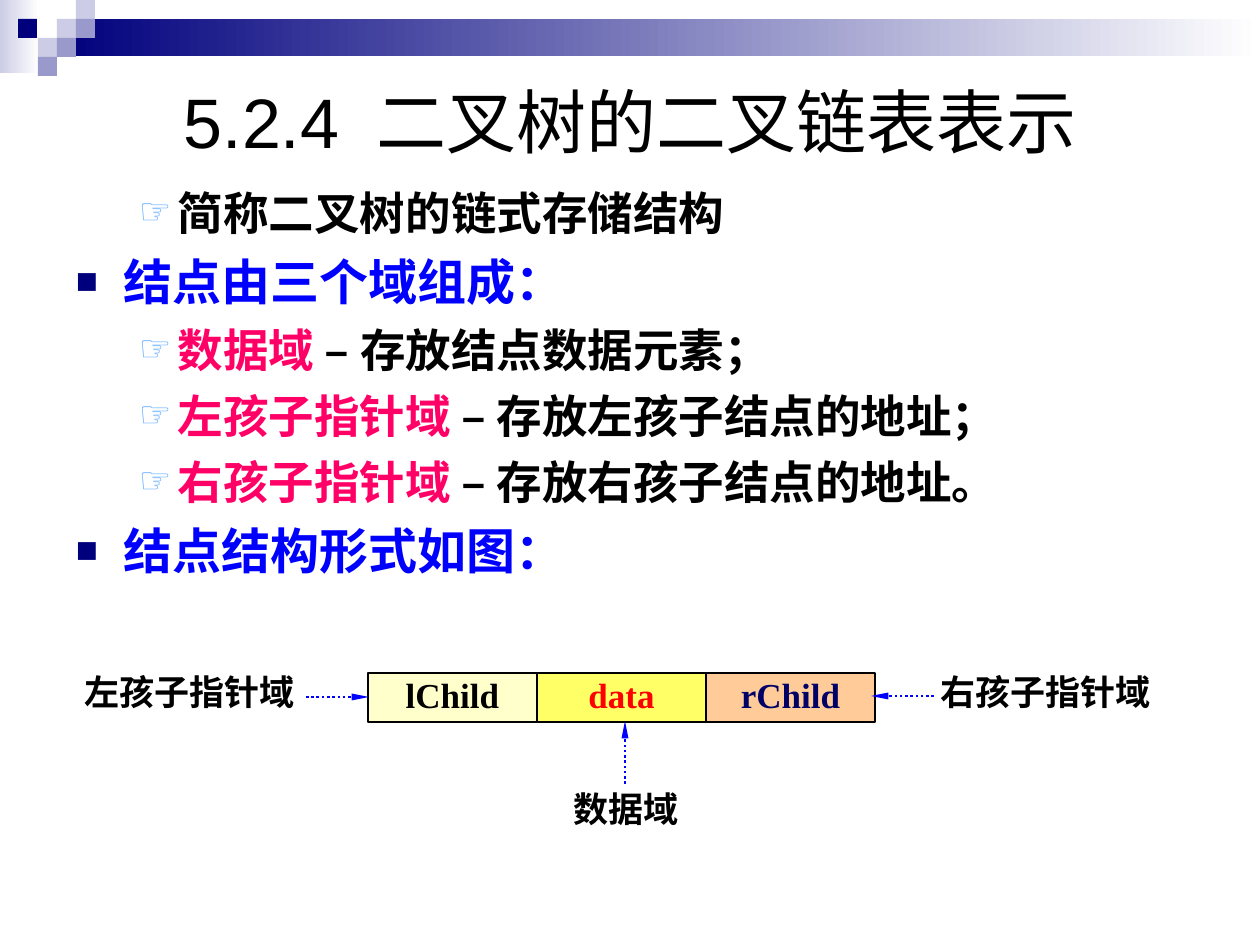
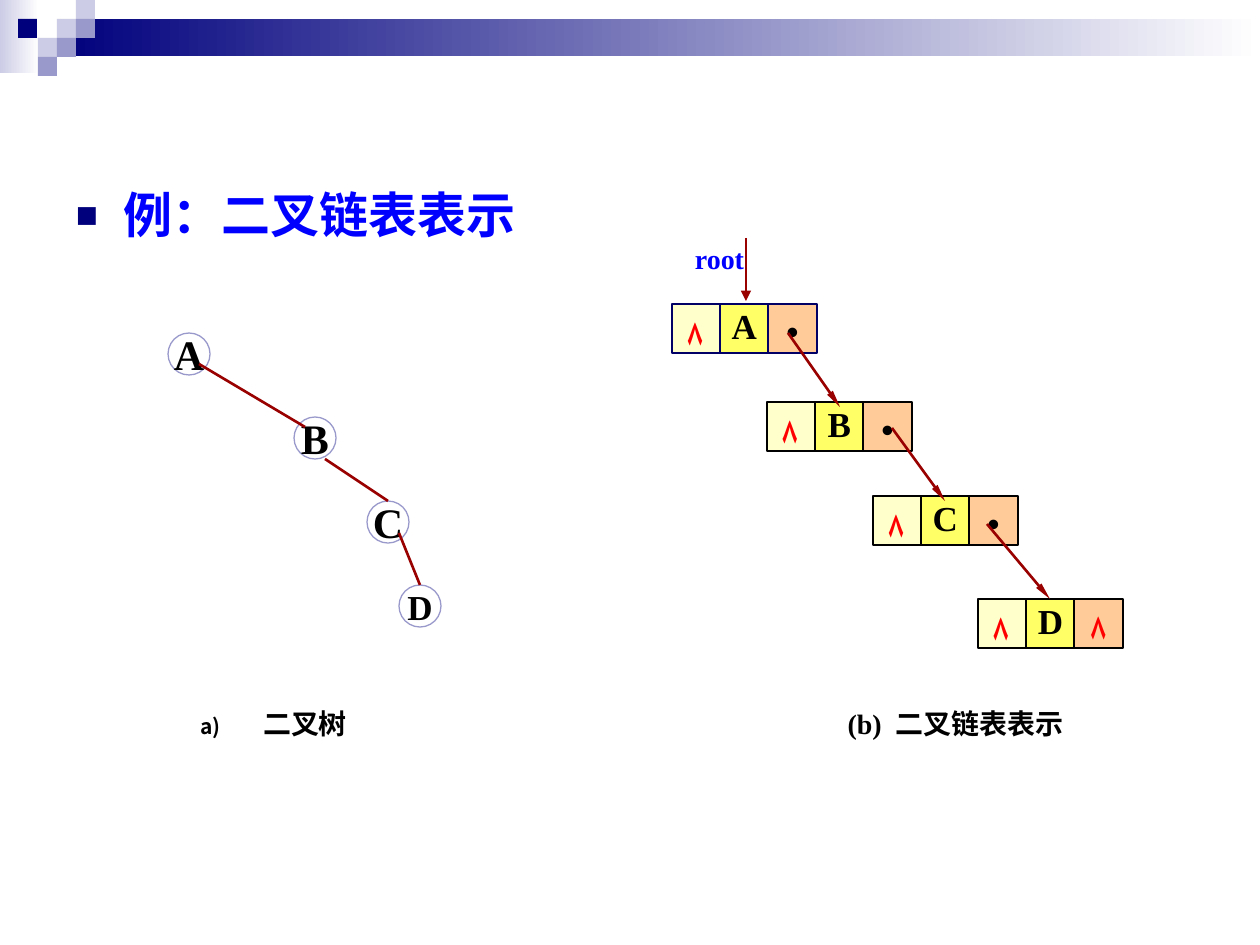
from lxml import etree
from pptx import Presentation
from pptx import util as u
from pptx.dml.color import RGBColor
from pptx.enum import dml, lang, shapes, text
from pptx.oxml.ns import qn

PX = u.Inches(1) / 126
SANS, CJK, SERIF = "Arial", "Noto Sans CJK SC", "Times New Roman"

BLACK = RGBColor(0x00, 0x00, 0x00)
WHITE = RGBColor(0xFF, 0xFF, 0xFF)
NAVY = RGBColor(0x00, 0x00, 0x7D)
DARK_BLUE = RGBColor(0x00, 0x00, 0x66)
BLUE = RGBColor(0x00, 0x00, 0xFF)
SKY = RGBColor(0x67, 0xAF, 0xFF)
LILAC = RGBColor(0x99, 0x99, 0xCC)
PALE_LILAC = RGBColor(0xCC, 0xCC, 0xE6)
PINK = RGBColor(0xFF, 0x00, 0x66)
RED = RGBColor(0xFF, 0x00, 0x00)
MAROON = RGBColor(0x99, 0x00, 0x00)
CREAM = RGBColor(0xFF, 0xFF, 0xCC)
YELLOW = RGBColor(0xFF, 0xFF, 0x66)
PEACH = RGBColor(0xFF, 0xCC, 0x99)

CELL_FILLS = (CREAM, YELLOW, PEACH)
CENTER = text.PP_ALIGN.CENTER
MIDDLE = text.MSO_ANCHOR.MIDDLE
SLIM, REGULAR = ("sm", "lg"), ("med", "med")


def px(n):
    return u.Emu(round(n * PX))


def add_child(parent, tag, **attrs):
    child = etree.SubElement(parent, qn(tag))
    for name, value in attrs.items():
        child.set(name, str(value))
    return child


def add_run(p, words, size=20, color=BLACK, font=SERIF, bold=True, tracking=0):
    r = p.add_run()
    r.text = words
    f = r.font
    f.size, f.bold, f.name = u.Pt(size), bold, font
    f.color.rgb = color
    f.language_id = lang.MSO_LANGUAGE_ID.SIMPLIFIED_CHINESE
    rPr = r._r.get_or_add_rPr()
    add_child(rPr, "a:ea", typeface=CJK)
    if tracking:
        rPr.set("spc", str(round(tracking * 100)))


def add_spaced(p, number, words, size, **fmt):
    """Number and words, parted by a space stretched to twice its width."""
    add_run(p, number, size, **fmt)
    add_run(p, " ", size, tracking=size * 0.26, **fmt)
    add_run(p, words, size, **fmt)


def set_bullet(p, mark, color, percent, left, hang, font=SANS):
    pPr = p._p.get_or_add_pPr()
    pPr.set("marL", str(px(left)))
    pPr.set("indent", str(-px(hang)))
    add_child(add_child(pPr, "a:buClr"), "a:srgbClr", val=color)
    add_child(pPr, "a:buSzPct", val=percent * 1000)
    add_child(pPr, "a:buFont", typeface=font)
    if mark == "a)":
        add_child(pPr, "a:buAutoNum", type="alphaLcParenR")
    else:
        add_child(pPr, "a:buChar", char=mark)


def set_frame(tf, left=13, top=6, wrap=True, anchor=text.MSO_ANCHOR.TOP):
    tf.word_wrap, tf.vertical_anchor = wrap, anchor
    tf.margin_left, tf.margin_top = px(left), px(top)
    tf.margin_right, tf.margin_bottom = px(13), px(6)


def add_box(s, x, y, w, h, align=None, **frame):
    """Text box; returns its first paragraph."""
    tf = s.shapes.add_textbox(px(x), px(y), px(w), px(h)).text_frame
    set_frame(tf, **frame)
    p = tf.paragraphs[0]
    p.alignment = align
    return p


def add_block(s, x, y, w, h, fill, line=None, kind=shapes.MSO_SHAPE.RECTANGLE):
    """Preset shape; fill is one colour or a list of two for a gradient."""
    sp = s.shapes.add_shape(kind, px(x), px(y), px(w), px(h))
    sp.shadow.inherit = False
    if isinstance(fill, list):
        sp.fill.gradient()
        sp.fill.gradient_angle = 0
        for stop, color in zip(sp.fill.gradient_stops, fill):
            stop.color.rgb = color
    else:
        sp.fill.solid()
        sp.fill.fore_color.rgb = fill
    if line is None:
        sp.line.fill.background()
    else:
        sp.line.color.rgb = line
        sp.line.width = u.Pt(0.75)
    return sp


def fill_text(sp, words, size=20, color=BLACK, left=13, top=1):
    set_frame(sp.text_frame, left, top, wrap=False, anchor=MIDDLE)
    p = sp.text_frame.paragraphs[0]
    p.alignment = CENTER
    add_run(p, words, size, color)


def add_link(s, x1, y1, x2, y2, color=MAROON, arrow=None, dotted=False):
    c = s.shapes.add_connector(shapes.MSO_CONNECTOR.STRAIGHT, px(x1), px(y1), px(x2), px(y2))
    c.line.color.rgb = color
    c.line.width = u.Pt(1.5)
    if dotted:
        c.line.dash_style = dml.MSO_LINE.ROUND_DOT
    if arrow:
        width, length = arrow
        add_child(c._element.spPr.find(qn("a:ln")), "a:tailEnd", type="triangle", w=width, len=length)
    add_child(c._element.spPr, "a:effectLst")


def new_slide(prs):
    """Blank slide with the top band and its mosaic of squares."""
    s = prs.slides.add_slide(prs.slide_layouts[6])
    add_block(s, 0, 0, 39, 73, [PALE_LILAC, WHITE])
    add_block(s, 57, 19, 1203, 37, [NAVY, WHITE])
    mosaic = ((57, 19, PALE_LILAC), (76, 0, PALE_LILAC), (76, 19, LILAC), (38, 38, PALE_LILAC),
              (18, 19, NAVY), (57, 38, LILAC), (38, 57, LILAC))
    for x, y, color in mosaic:
        add_block(s, x, y, 19, 19, color)
    return s


def add_body(s, items):
    """Headings are strings; details are (term, explanation) pairs."""
    p = add_box(s, 63, 179, 1134, 672)
    for i, item in enumerate(items):
        if i:
            p = p._parent.add_paragraph()
        if isinstance(item, str):
            set_bullet(p, "■", NAVY, 75, 48, 48)
            add_run(p, item, 28, BLUE, SANS)
        else:
            term, explanation = item
            set_bullet(p, "☞", SKY, 80, 102, 39)
            if term:
                add_run(p, term + " ", 26, PINK, SANS)
                add_run(p, "– ", 26, font=CJK)
            add_run(p, explanation, 26, font=SANS)
        if i:
            p.space_before = u.Pt(7 if isinstance(item, str) else 6.5)


def add_list_node(s, x, y, letter, last=False, line=BLACK):
    """Linked-list cell triple: empty left pointer, data, right pointer."""
    right = ("۸", RED) if last else ("•", BLACK)
    contents = (("۸ ", RED, 20, 13), (letter, BLACK, 13, 1), (*right, 13, 10))
    for i, (words, color, left, top) in enumerate(contents):
        sp = add_block(s, x + 48 * i, y, 49, 49, CELL_FILLS[i], line)
        fill_text(sp, words, color=color, left=left, top=top)


def build_structure_slide(prs):
    s = new_slide(prs)
    title = add_box(s, 63, 63, 1134, 116, CENTER, anchor=MIDDLE)
    add_spaced(title, "5.2.4", "二叉树的二叉链表表示", 40, font=SANS, bold=False)
    add_body(s, (
        ("", "简称二叉树的链式存储结构"),
        "结点由三个域组成：",
        ("数据域", "存放结点数据元素；"),
        ("左孩子指针域", "存放左孩子结点的地址；"),
        ("右孩子指针域", "存放右孩子结点的地址。"),
        "结点结构形式如图：",
    ))
    fields = (("lChild", BLACK), ("data", RED), ("rChild", DARK_BLUE))
    for i, (name, color) in enumerate(fields):
        fill_text(add_block(s, 368 + 169 * i, 673, 169, 49, CELL_FILLS[i], BLACK), name, color=color)
    for words, x, y, w in (("左孩子指针域", 64, 670, 252), ("右孩子指针域", 924, 670, 243),
                           ("数据域", 548, 787, 157)):
        add_run(add_box(s, x, y, w, 50, CENTER, top=1), words)
    for ends in ((306, 697, 369, 697), (934, 696, 871, 696), (625, 784, 625, 721)):
        add_link(s, *ends, color=BLUE, arrow=SLIM, dotted=True)


def build_example_slide(prs):
    s = new_slide(prs)
    add_body(s, ("例：二叉链表表示",))

    p = add_box(s, 158, 701, 231, 47, CENTER)
    set_bullet(p, "a)", BLACK, 75, 63, 63, CJK)
    add_run(p, "二叉树", 16)
    add_spaced(add_box(s, 819, 701, 273, 47, CENTER), "(b)", "二叉链表表示", 16)

    for i, (letter, x) in enumerate(zip("ABCD", (168, 294, 367, 399))):
        sp = add_block(s, x, 333 + 84 * i, 42, 42, WHITE, LILAC, shapes.MSO_SHAPE.OVAL)
        fill_text(sp, letter, 20 if letter == "D" else 24, top=6)
    for edge in ((199, 364, 305, 427), (325, 459, 388, 501), (399, 533, 420, 585)):
        add_link(s, *edge)

    add_list_node(s, 672, 304, "A", line=DARK_BLUE)
    add_list_node(s, 767, 402, "B")
    add_list_node(s, 873, 496, "C")
    add_list_node(s, 978, 599, "D", last=True)
    for pointer in ((788, 333, 840, 407), (892, 428, 945, 501), (987, 524, 1050, 599)):
        add_link(s, *pointer, arrow=SLIM)
    add_run(add_box(s, 672, 236, 95, 47, CENTER), "root", 16, BLUE)
    add_link(s, 746, 238, 746, 301, arrow=REGULAR)


def main():
    prs = Presentation()
    prs.slide_width, prs.slide_height = px(1260), px(945)
    build_structure_slide(prs)
    build_example_slide(prs)
    prs.save("out.pptx")


if __name__ == "__main__":
    main()
